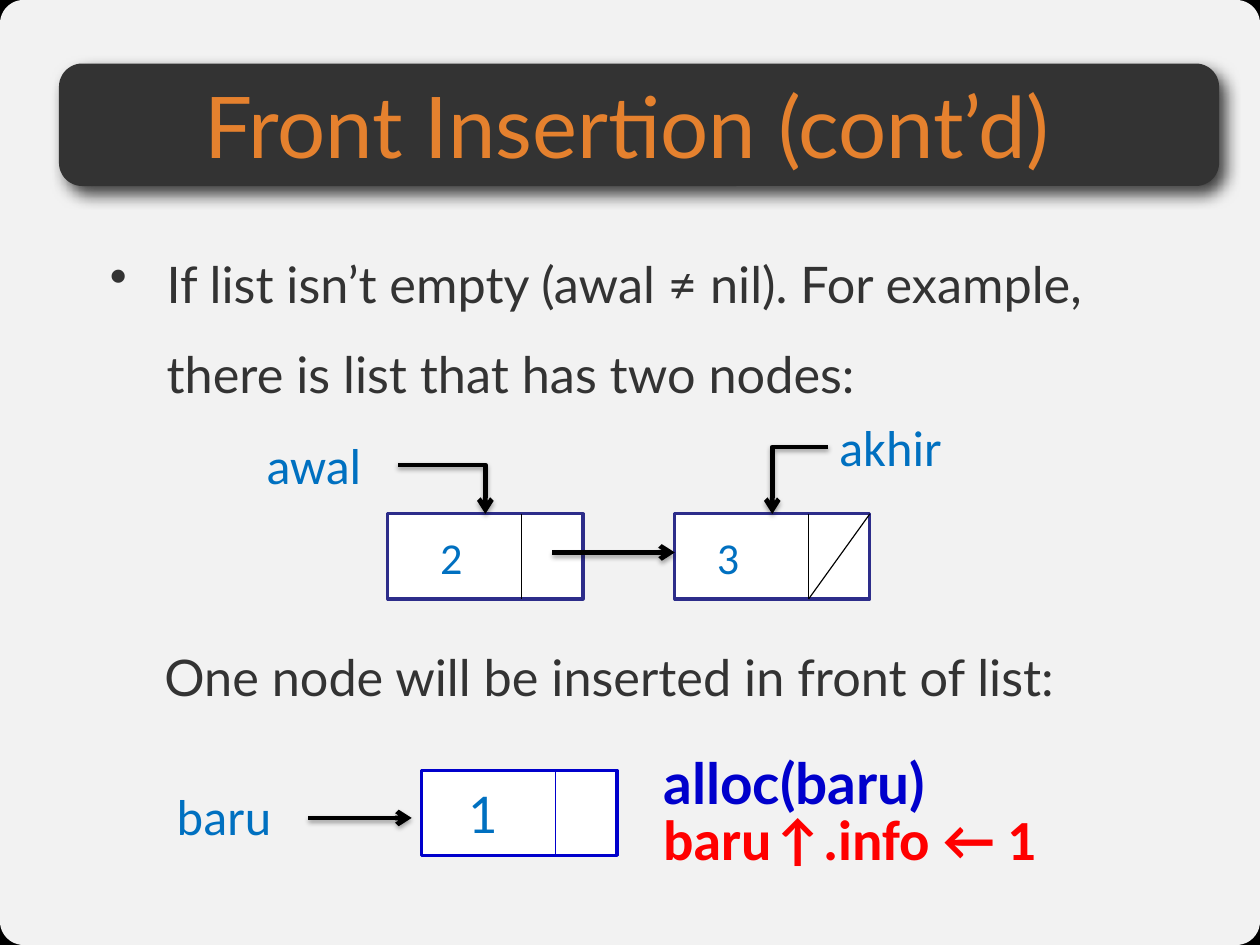
import lxml.etree
import pptx
import pptx.dml.color
import pptx.enum.shapes
import pptx.enum.text
import pptx.oxml
import pptx.oxml.ns
import pptx.util

Inches = pptx.util.Inches
Pt = pptx.util.Pt
RGBColor = pptx.dml.color.RGBColor
Shapes = pptx.enum.shapes.MSO_SHAPE
Connectors = pptx.enum.shapes.MSO_CONNECTOR
Anchor = pptx.enum.text.MSO_ANCHOR
qn = pptx.oxml.ns.qn

BLACK = RGBColor(0x00, 0x00, 0x00)
WHITE = RGBColor(0xFF, 0xFF, 0xFF)
PAPER = RGBColor(0xF2, 0xF2, 0xF2)
CHARCOAL = RGBColor(0x33, 0x33, 0x33)
ORANGE = RGBColor(0xE5, 0x81, 0x2E)
SKY = RGBColor(0x00, 0x70, 0xC0)
INDIGO = RGBColor(0x2D, 0x2D, 0x8A)
BLUE = RGBColor(0x00, 0x00, 0xCC)
RED = RGBColor(0xFF, 0x00, 0x00)

NODE_WIDTH, NODE_HEIGHT, INFO_WIDTH = 1.72, 0.75, 1.18


class ListSlide:
    heading_font = "Lato"
    label_font = "Calibri"

    def __init__(self, presentation):
        self.slide = presentation.slides.add_slide(presentation.slide_layouts[6])
        self.slide.background.fill.solid()
        self.slide.background.fill.fore_color.rgb = BLACK

    def shadow(self, element, blur, distance, angle, opacity):
        properties = element.spPr
        for effects in properties.findall(qn("a:effectLst")):
            properties.remove(effects)
        effects = lxml.etree.SubElement(properties, qn("a:effectLst"))
        if opacity:
            outer = lxml.etree.SubElement(
                effects, qn("a:outerShdw"), blurRad=str(Pt(blur)), dist=str(Pt(distance)),
                dir=str(angle * 60000), algn="ctr", rotWithShape="0")
            colour = lxml.etree.SubElement(outer, qn("a:srgbClr"), val=str(BLACK))
            lxml.etree.SubElement(colour, qn("a:alpha"), val=str(opacity * 1000))

    def box(self, kind, left, top, width, height, fill, outline=None):
        shape = self.slide.shapes.add_shape(
            kind, Inches(left), Inches(top), Inches(width), Inches(height))
        shape.shadow.inherit = False
        shape.fill.solid()
        shape.fill.fore_color.rgb = fill
        if outline is None:
            shape.line.fill.background()
        else:
            shape.line.color.rgb = outline
            shape.line.width = Pt(2)
        return shape

    def panel(self, left, top, width, height, fill, rounding):
        shape = self.box(Shapes.ROUNDED_RECTANGLE, left, top, width, height, fill)
        shape.adjustments[0] = rounding
        return shape

    def style(self, paragraph, size, font, colour, bold=False):
        paragraph.font.size = Pt(size)
        paragraph.font.name = font
        paragraph.font.color.rgb = colour
        paragraph.font.bold = bold

    def text(self, left, top, width, height, words, size, font, colour, bold=False, inset=True):
        frame = self.slide.shapes.add_textbox(
            Inches(left), Inches(top), Inches(width), Inches(height)).text_frame
        frame.word_wrap = True
        if not inset:
            frame.margin_left = frame.margin_right = frame.margin_top = frame.margin_bottom = 0
        paragraph = frame.paragraphs[0]
        paragraph.text = words
        self.style(paragraph, size, font, colour, bold)
        return frame

    def label(self, left, top, words):
        self.text(left, top, 1.26, 0.64, words, 32, self.label_font, SKY)

    def title(self, words):
        banner = self.panel(0.52, 0.56, 10.23, 1.08, CHARCOAL, 0.19)
        self.shadow(banner._element, 10, 6, 51, 75)
        frame = self.text(0.52, 0.6, 10.01, 1, words, 54, self.heading_font, ORANGE, inset=False)
        frame.vertical_anchor = Anchor.MIDDLE
        frame.paragraphs[0].alignment = pptx.enum.text.PP_ALIGN.CENTER

    def bullet(self, words):
        frame = self.text(0.97, 1.96, 9.56, 5.59, words, 32, self.heading_font, CHARCOAL, inset=False)
        paragraph = frame.paragraphs[0]
        paragraph.line_spacing = 1.5
        properties = paragraph._p.get_or_add_pPr()
        properties.set("marL", str(Inches(0.5)))
        properties.set("indent", str(Inches(-0.5)))
        mark = pptx.oxml.parse_xml(
            '<a:buChar xmlns:a="http://schemas.openxmlformats.org/drawingml/2006/main" char="•"/>')
        properties.find(qn("a:lnSpc")).addnext(mark)

    def line(self, start, end, colour, width=0.75, kind=Connectors.STRAIGHT):
        connector = self.slide.shapes.add_connector(
            kind, *(Inches(value) for value in (*start, *end)))
        connector.line.color.rgb = colour
        connector.line.width = Pt(width)
        self.shadow(connector._element, 0, 0, 0, 0)
        return connector

    def arrow(self, start, end):
        bent = start[1] != end[1]
        kind = Connectors.ELBOW if bent else Connectors.STRAIGHT
        connector = self.line(start, end, BLACK, 3, kind)
        if bent:
            connector._element.spPr.find(qn("a:prstGeom")).set("prst", "bentConnector2")
        lxml.etree.SubElement(connector.line._get_or_add_ln(), qn("a:tailEnd"), type="arrow")
        self.shadow(connector._element, 3.1, 1.8, 90, 35)

    def node(self, left, top, value, size, font, inset, outline, divider, last=False):
        shape = self.box(Shapes.RECTANGLE, left, top, NODE_WIDTH, NODE_HEIGHT, WHITE, outline)
        frame = shape.text_frame
        frame.vertical_anchor = Anchor.MIDDLE
        frame.margin_left = Inches(inset)
        paragraph = frame.paragraphs[0]
        paragraph.text = value
        paragraph.alignment = pptx.enum.text.PP_ALIGN.LEFT
        self.style(paragraph, size, font, SKY)
        split, bottom = left + INFO_WIDTH, top + NODE_HEIGHT
        self.line((split, top), (split, bottom), divider)
        if last:
            self.line((left + NODE_WIDTH, top), (split, bottom), divider)


def main():
    presentation = pptx.Presentation()
    presentation.slide_width = Inches(11.11)
    presentation.slide_height = Inches(8.33)
    page = ListSlide(presentation)
    lato, calibri = page.heading_font, page.label_font

    page.panel(0, 0, 11.11, 8.33, PAPER, 0.025)
    page.bullet("If list isn’t empty (awal ≠ nil). For example, there is list that has two nodes:")
    page.title("Front Insertion (cont’d)")

    page.node(3.42, 4.53, "2", 28, calibri, 0.46, INDIGO, BLACK)
    page.node(5.95, 4.53, "3", 28, calibri, 0.37, INDIGO, BLACK, last=True)
    page.node(3.72, 6.79, "1", 32, lato, 0.41, BLUE, BLUE)

    for left, top, words in ((2.25, 3.78, "awal"), (7.3, 3.62, "akhir"), (1.46, 6.87, "baru")):
        page.label(left, top, words)
    for start, end in (((3.51, 4.1), (4.28, 4.53)), ((7.3, 3.94), (6.81, 4.53)),
                       ((4.87, 4.87), (5.95, 4.87)), ((2.72, 7.21), (3.63, 7.21))):
        page.arrow(start, end)

    page.text(1.35, 5.65, 8.35, 0.64, "One node will be inserted in front of list:", 32, lato, CHARCOAL)
    page.text(5.75, 6.54, 4.58, 0.75, "alloc(baru)", 36, lato, BLUE, bold=True)
    page.text(5.75, 7.04, 4.58, 0.75, "baru↑.info ← 1", 36, calibri, RED, bold=True)
    presentation.save("out.pptx")


if __name__ == "__main__":
    main()
